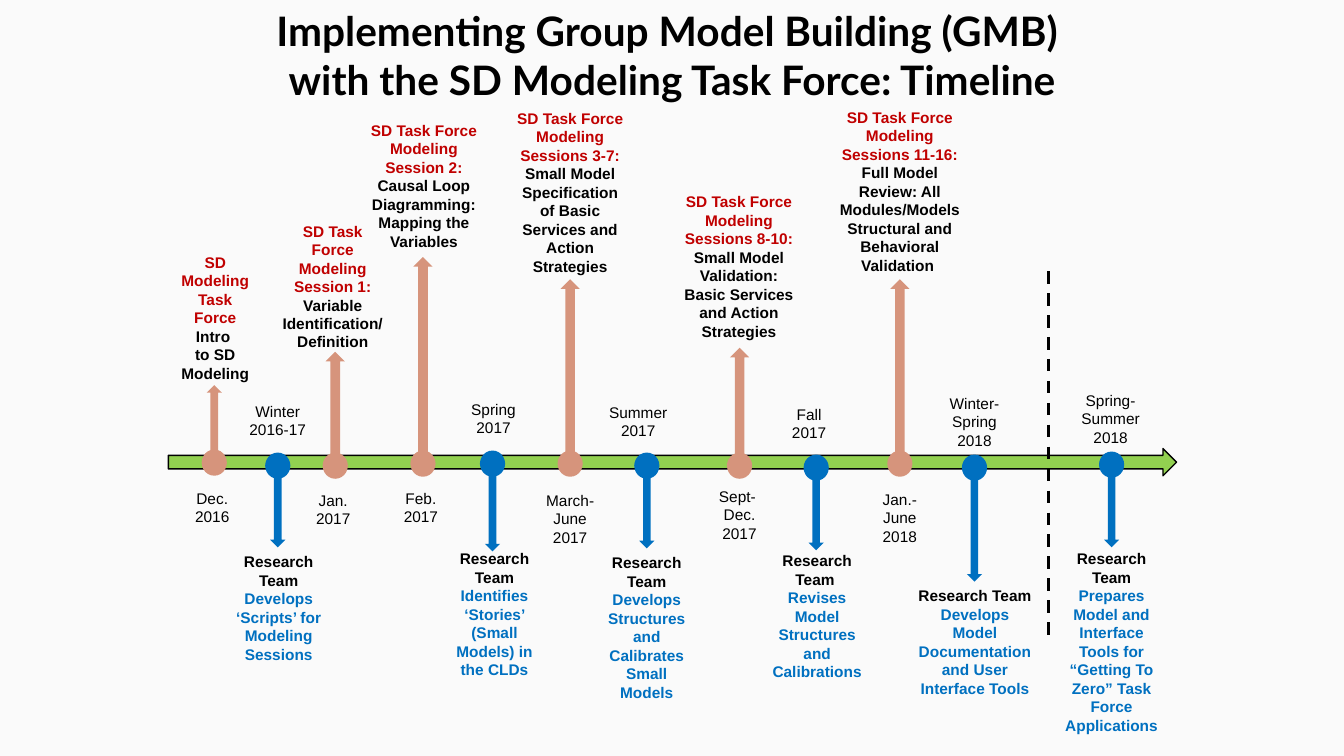
"""Build the Group Model Building timeline slide."""
from dataclasses import dataclass
from typing import NamedTuple

import pptx
import pptx.dml.color
import pptx.enum.dml
import pptx.enum.shapes
import pptx.enum.text
import pptx.oxml.ns
import pptx.shapes.autoshape
import pptx.slide
import pptx.text.text
import pptx.util
from lxml import etree

RGB = pptx.dml.color.RGBColor
SHAPE = pptx.enum.shapes.MSO_SHAPE
FIT = pptx.enum.text.MSO_AUTO_SIZE

BLACK = RGB(0x00, 0x00, 0x00)
RED = RGB(0xC0, 0x00, 0x00)
BLUE = RGB(0x00, 0x70, 0xC0)
CLAY = RGB(0xD6, 0x94, 0x7C)
GREEN = RGB(0x92, 0xD0, 0x50)
PALE = RGB(0xFA, 0xFA, 0xFA)

SCALE = 9144
DOT_W, DOT_H = 25, 26


class Box(NamedTuple):
    x: int
    y: int
    w: int
    h: int


class Piece(NamedTuple):
    text: str
    color: RGB


@dataclass(frozen=True)
class Kind:
    arrow: SHAPE
    fill: RGB
    head: RGB
    body: RGB


@dataclass(frozen=True)
class Mark:
    kind: Kind
    dot: tuple[int, int]
    stem: tuple[int, int, int]
    date: str
    date_box: Box
    head: str
    body: str
    note_box: Box
    wrap: bool = False


TASK = Kind(SHAPE.UP_ARROW, CLAY, RED, BLACK)
TEAM = Kind(SHAPE.DOWN_ARROW, BLUE, BLACK, BLUE)
GROUP = "SD Task Force Modeling "
STAFF = "Research Team "

MARKS = [
    Mark(TASK, (200, 446), (382, 15, 80), "Dec.\n2016", Box(183, 480, 55, 47),
         "SD Modeling Task Force ", "Intro \nto SD Modeling", Box(167, 246, 93, 140)),
    Mark(TASK, (320, 449), (349, 19, 116), "Jan.\n2017", Box(303, 482, 55, 47),
         GROUP + "Session 1: ", "Variable Identification/ Definition",
         Box(269, 215, 122, 140)),
    Mark(TASK, (407, 447), (255, 19, 208), "Feb.\n2017", Box(390, 480, 55, 47),
         GROUP + "Session 2: ", "Causal Loop Diagramming: Mapping the Variables",
         Box(357, 115, 127, 140)),
    Mark(TASK, (553, 447), (277, 19, 188), "March- June\n2017", Box(524, 482, 83, 66),
         GROUP + "Sessions 3-7: ",
         "Small Model Specification of Basic Services and Action Strategies",
         Box(501, 103, 129, 177), True),
    Mark(TEAM, (629, 449), (464, 15, 80), "Summer\n2017", Box(594, 395, 78, 47),
         STAFF, "Develops Structures and Calibrates Small Models",
         Box(588, 544, 107, 158)),
    Mark(TASK, (721, 449), (345, 19, 116), "Sept- \nDec.\n2017", Box(702, 478, 63, 66),
         GROUP + "Sessions 8-10: ",
         "Small Model Validation: Basic Services and Action Strategies",
         Box(668, 186, 130, 158)),
    Mark(TEAM, (476, 447), (467, 15, 80), "Spring\n2017", Box(457, 392, 65, 47),
         STAFF, "Identifies ‘Stories’ (Small Models) in the CLDs",
         Box(437, 540, 107, 140)),
    Mark(TEAM, (797, 451), (466, 15, 80), "Fall\n2017", Box(775, 397, 55, 47),
         STAFF, "\nRevises Model\nStructures and Calibrations",
         Box(751, 542, 119, 140)),
    Mark(TASK, (880, 447), (277, 19, 188), "Jan.- June\n2018", Box(856, 481, 73, 66),
         GROUP + "Sessions 11-16: ",
         "Full Model Review: All Modules/Models Structural and Behavioral Validation ",
         Box(820, 102, 145, 177), True),
    Mark(TEAM, (954, 451), (466, 15, 111), "Winter- Spring\n2018", Box(927, 386, 79, 66),
         STAFF, "Develops Model Documentation and User Interface Tools",
         Box(899, 577, 136, 121), True),
    Mark(TEAM, (263, 449), (463, 15, 80), "Winter\n2016-17", Box(237, 394, 77, 47),
         STAFF, "Develops ‘Scripts’ for Modeling Sessions", Box(223, 543, 107, 121)),
    Mark(TEAM, (1090, 448), (463, 15, 80), "Spring-Summer\n2018", Box(1062, 383, 79, 66),
         STAFF, "Prepares Model and Interface Tools for “Getting To Zero” Task Force Applications",
         Box(1042, 540, 121, 195), True),
]


def px(size: int) -> pptx.util.Emu:
    return pptx.util.Emu(size * SCALE)


def write(frame: pptx.text.text.TextFrame, lines: list[list[Piece]],
          size: int, font: str, bold: bool) -> None:
    for i, line in enumerate(lines):
        para = frame.paragraphs[0] if i == 0 else frame.add_paragraph()
        para.alignment = pptx.enum.text.PP_ALIGN.CENTER
        for piece in line:
            run = para.add_run()
            run.text = piece.text
            run.font.size = pptx.util.Pt(size)
            run.font.name = font
            run.font.bold = bold
            run.font.color.rgb = piece.color


def add_text(slide: pptx.slide.Slide, box: Box, lines: list[list[Piece]],
             bold: bool, wrap: bool) -> None:
    frame = slide.shapes.add_textbox(*map(px, box)).text_frame
    frame.word_wrap = wrap
    frame.auto_size = FIT.SHAPE_TO_FIT_TEXT
    write(frame, lines, 11, "Arial", bold)


def add_form(slide: pptx.slide.Slide, form: SHAPE, box: Box,
             fill: RGB) -> pptx.shapes.autoshape.Shape:
    shape = slide.shapes.add_shape(form, *map(px, box))
    shape.shadow.inherit = False
    shape.fill.solid()
    shape.fill.fore_color.rgb = fill
    shape.line.fill.background()
    return shape


def add_mark(slide: pptx.slide.Slide, mark: Mark) -> None:
    kind = mark.kind
    dates = [[Piece(text, BLACK)] for text in mark.date.split("\n")]
    add_text(slide, mark.date_box, dates, False, mark.wrap)

    first, *rest = [Piece(text, kind.body) for text in mark.body.split("\n")]
    lead = [Piece(mark.head, kind.head)] + ([first] if first.text else [])
    add_text(slide, mark.note_box, [lead] + [[piece] for piece in rest], True, True)

    left, top = mark.dot
    y, wide, high = mark.stem
    stem = Box(left + (DOT_W - wide) // 2, y, wide, high)
    add_form(slide, kind.arrow, stem, kind.fill)
    add_form(slide, SHAPE.OVAL, Box(left, top, DOT_W, DOT_H), kind.fill)


def add_title(slide: pptx.slide.Slide) -> None:
    title = slide.shapes.title
    title.left, title.top, title.width, title.height = map(px, Box(167, 1, 1000, 91))
    frame = title.text_frame
    frame.auto_size = FIT.NONE
    frame.word_wrap = True
    frame.vertical_anchor = pptx.enum.text.MSO_ANCHOR.TOP
    lines = ["Implementing Group Model Building (GMB) ",
             "with the SD Modeling Task Force: Timeline"]
    write(frame, [[Piece(text, BLACK)] for text in lines], 29, "Lato", True)


def add_split(slide: pptx.slide.Slide) -> None:
    split = slide.shapes.add_connector(
        pptx.enum.shapes.MSO_CONNECTOR.STRAIGHT, px(1040), px(269), px(1040), px(638))
    split.line.color.rgb = BLACK
    split.line.width = pptx.util.Pt(2.25)
    split.line.dash_style = pptx.enum.dml.MSO_LINE.DASH
    props = split._element.spPr
    etree.SubElement(props, pptx.oxml.ns.qn("a:effectLst"))


def main() -> None:
    deck = pptx.Presentation()
    deck.slide_width, deck.slide_height = px(1333), px(750)
    slide = deck.slides.add_slide(deck.slide_layouts[5])
    slide.background.fill.solid()
    slide.background.fill.fore_color.rgb = PALE
    add_title(slide)
    axis = add_form(slide, SHAPE.RIGHT_ARROW, Box(167, 445, 1000, 27), GREEN)
    axis.line.color.rgb = BLACK
    axis.line.width = pptx.util.Pt(1)
    for mark in MARKS:
        add_mark(slide, mark)
    add_split(slide)
    deck.save("out.pptx")


if __name__ == "__main__":
    main()
